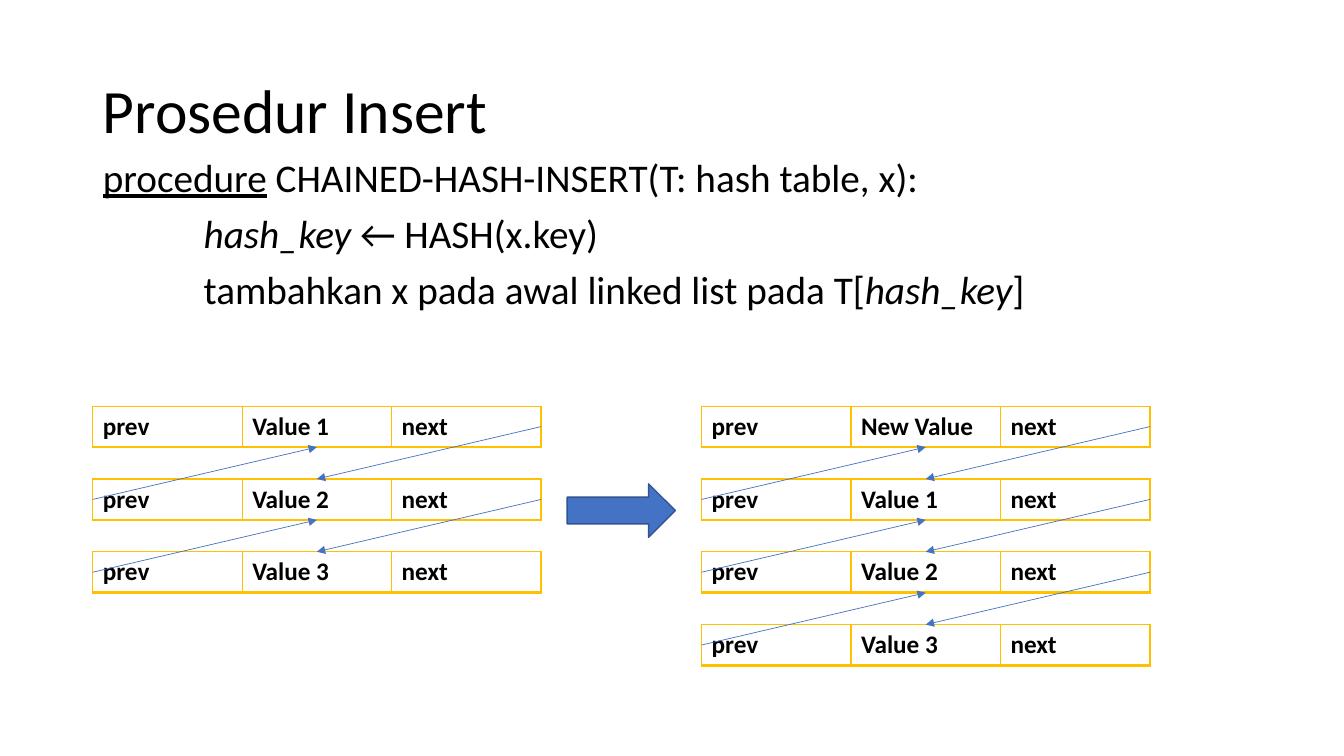
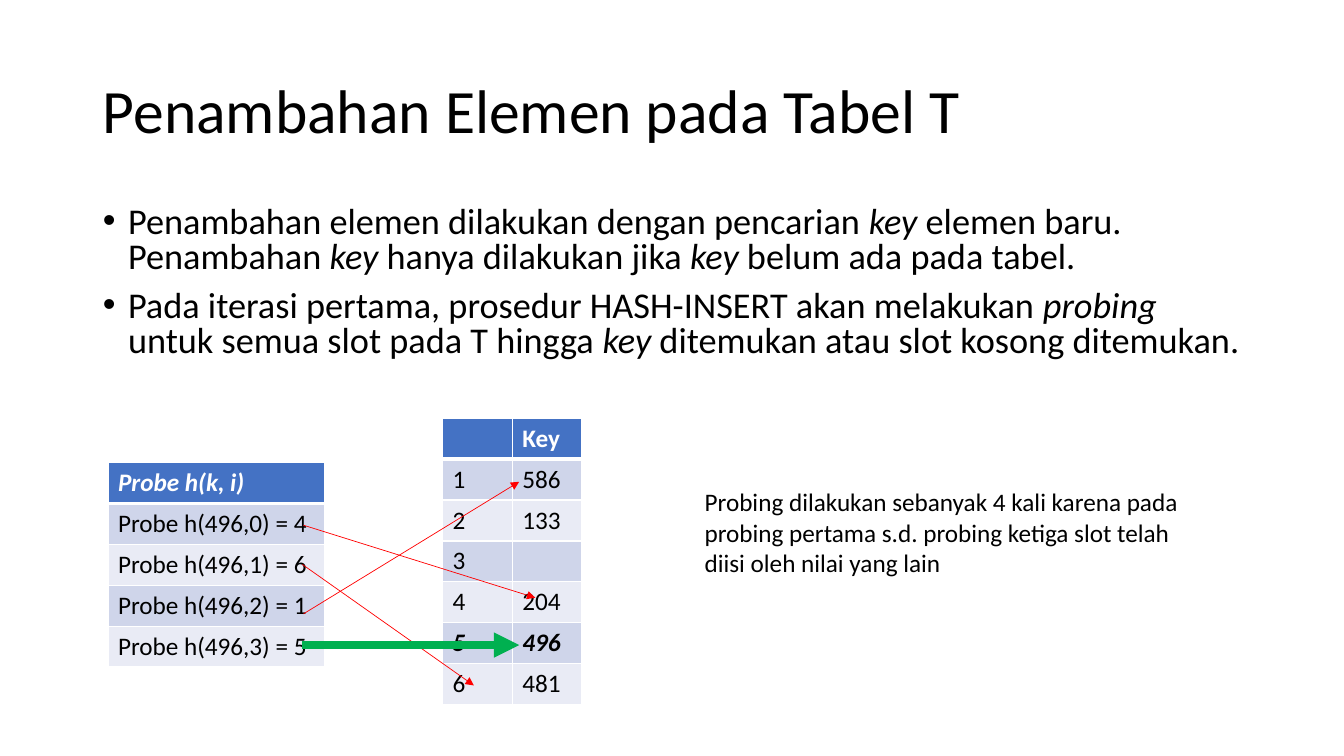
"""Build two slides on hash tables: chained insert and probing."""
from dataclasses import dataclass

from lxml.etree import SubElement
from pptx import Presentation
from pptx.dml.color import RGBColor as Color
from pptx.enum.shapes import MSO_CONNECTOR as Link, MSO_SHAPE as Kind
from pptx.enum.text import MSO_ANCHOR as Anchor, MSO_AUTO_SIZE as Fit, PP_ALIGN as Align
from pptx.oxml.ns import qn
from pptx.util import Emu, Inches, Pt


@dataclass(frozen=True)
class Theme:
    font: str = "Calibri"
    ink: str = "000000"
    paper: str = "FFFFFF"
    blue: str = "4472C4"
    navy: str = "325491"
    gold: str = "FFC000"
    red: str = "FF0000"
    green: str = "00B050"
    bands: tuple = ("E9EBF5", "CFD5EA")
    head: float = 44
    code: float = 28
    points: float = 25.9
    note: float = 18
    left: float = 6.9
    wide: float = 86.25
    row: float = 5.41


MARKS = {
    "*": {"italic": True},
    "~": {"underline": True},
    "!": {"bold": True, "italic": True},
}


class Deck:
    def __init__(self, theme):
        self.theme = theme
        self.show = Presentation()
        self.show.slide_width, self.show.slide_height = Inches(13.33), Inches(7.5)

    def x(self, share):
        return Emu(round(self.show.slide_width * share / 100))

    def y(self, share):
        return Emu(round(self.show.slide_height * share / 100))

    def box(self, left, top, wide, high):
        return self.x(left), self.y(top), self.x(wide), self.y(high)

    def place(self, shape, *at):
        for name, value in zip(("left", "top", "width", "height"), self.box(*at)):
            setattr(shape, name, value)

    def fill_in(self, para, text, size, color=None, **style):
        for part in text.split("|") if text else ():
            mark = MARKS.get(part[0], {})
            run = para.add_run()
            run.text = part[1:] if mark else part
            look = {"name": self.theme.font, "size": Pt(size), "bold": False, **style, **mark}
            for name, value in look.items():
                setattr(run.font, name, value)
            run.font.color.rgb = Color.from_string(color or self.theme.ink)

    def start(self, title):
        self.slide = self.show.slides.add_slide(self.show.slide_layouts[1])
        head = self.slide.shapes.title
        self.place(head, self.theme.left, 5.33, self.theme.wide, 19.33)
        frame = head.text_frame
        frame.auto_size, frame.vertical_anchor = Fit.NONE, Anchor.MIDDLE
        para = frame.paragraphs[0]
        para.alignment, para.line_spacing = Align.LEFT, 0.9
        self.fill_in(para, title, self.theme.head)

    def body(self, top, high, lines, size, pitch, bullet=False):
        shape = self.slide.placeholders[1]
        self.place(shape, self.theme.left, top, self.theme.wide, high)
        frame = shape.text_frame
        frame.auto_size = Fit.NONE
        for spot, (indent, text) in enumerate(lines):
            para = frame.add_paragraph() if spot else frame.paragraphs[0]
            para.line_spacing, para.space_before = pitch, Pt(10)
            props = para._p.get_or_add_pPr()
            props.set("marL", str(Inches(indent)))
            props.set("indent", str(-Inches(indent) if bullet else 0))
            if bullet:
                SubElement(props, qn("a:buFont"), typeface="Arial")
                SubElement(props, qn("a:buChar"), char="•")
            else:
                SubElement(props, qn("a:buNone"))
            self.fill_in(para, text, size)

    def edge(self, cell, color, sides):
        props = cell._tc.get_or_add_tcPr()
        for spot, (side, width) in enumerate(sides.items()):
            line = SubElement(props, qn("a:ln" + side), w=str(Pt(width)))
            fill = SubElement(line, qn("a:solidFill"))
            SubElement(fill, qn("a:srgbClr"), val=color)
            props.insert(spot, line)

    def table(self, left, top, col, rows, rim, base, filled=True):
        theme = self.theme
        count = len(rows[0])
        at = self.box(left, top, col * count, theme.row * len(rows))
        table = self.slide.shapes.add_table(len(rows), count, *at).table
        table.first_row = table.horz_banding = False
        for column in table.columns:
            column.width = self.x(col)
        for r, texts in enumerate(rows):
            table.rows[r].height = self.y(theme.row)
            for c, text in enumerate(texts):
                cell = table.cell(r, c)
                if filled:
                    cell.fill.solid()
                    cell.fill.fore_color.rgb = Color.from_string(theme.bands[r % 2] if r else theme.blue)
                else:
                    cell.fill.background()
                self.edge(cell, rim, {"L": 1, "R": 1, "T": base if r == 1 else 1, "B": 1 if r else base})
                color = theme.paper if filled and not r else theme.ink
                self.fill_in(cell.text_frame.paragraphs[0], text, theme.note, color, bold=not r)

    def arrow(self, start, end, color, width=0.5):
        (x1, y1), (x2, y2) = start, end
        line = self.slide.shapes.add_connector(Link.STRAIGHT, self.x(x1), self.y(y1), self.x(x2), self.y(y2))
        line.line.color.rgb = Color.from_string(color)
        line.line.width = Pt(width)
        props = line._element.spPr
        SubElement(props.find(qn("a:ln")), qn("a:tailEnd"), type="triangle")
        SubElement(props, qn("a:effectLst"))

    def block(self, *at):
        shape = self.slide.shapes.add_shape(Kind.RIGHT_ARROW, *self.box(*at))
        shape.shadow.inherit = False
        shape.fill.solid()
        shape.fill.fore_color.rgb = Color.from_string(self.theme.blue)
        shape.line.color.rgb = Color.from_string(self.theme.navy)
        shape.line.width = Pt(1)

    def note(self, text, *at):
        frame = self.slide.shapes.add_textbox(*self.box(*at)).text_frame
        frame.word_wrap = True
        self.fill_in(frame.paragraphs[0], text, self.theme.note)

    def chain(self, left, values, col=11.12, top=53.73, step=9.63):
        theme = self.theme
        tops = [top + step * n for n in range(len(values))]
        for y, value in zip(tops, values):
            self.table(left, y, col, [("prev", value, "next")], theme.gold, 2, filled=False)
        mid, right, half = left + 1.5 * col, left + 3 * col, theme.row / 2
        for above, below in zip(tops, tops[1:]):
            self.arrow((right, above + half), (mid, below), theme.blue)
            self.arrow((left, below + half), (mid, above + theme.row), theme.blue)


theme = Theme()
deck = Deck(theme)

deck.start("Prosedur Insert")
deck.body(20.27, 25.07, [
    (0, "~procedure| CHAINED-HASH-INSERT(T: hash table, x):"),
    (1, "*hash_key |← HASH(x.key)"),
    (1, "tambahkan x pada awal linked list pada T[|*hash_key|]"),
], theme.code, 0.9)
values = ["Value 1", "Value 2", "Value 3"]
deck.chain(theme.left, values)
deck.chain(52.2, ["New Value"] + values)
deck.block(42.2, 64, 8.05, 7.07)

deck.start("Penambahan Elemen pada Tabel T")
deck.body(26.67, 26.27, [
    (0.25, "Penambahan elemen dilakukan dengan pencarian |*key |elemen baru. Penambahan "
           "|*key |hanya dilakukan jika |*key| belum ada pada tabel."),
    (0.25, "Pada iterasi pertama, prosedur HASH-INSERT akan melakukan |*probing"
           "| untuk semua slot pada T hingga |*key |ditemukan atau slot kosong ditemukan."),
], theme.points, 0.8, bullet=True)
keys = [("", "Key"), ("1", "586"), ("2", "133"), ("3", ""), ("4", "204"), ("!5", "!496"), ("6", "481")]
deck.table(32.93, 55.33, 5.18, keys, theme.paper, 3)
probes = [(f"Probe h(496,{n}) = {slot}",) for n, slot in enumerate((4, 6, 1, 5))]
deck.table(8.03, 61.2, 16.13, [("!Probe h(k, i)",)] + probes, theme.paper, 3)
for start, end in [
    ((22.58, 69.47), (39.83, 79.07)),
    ((22.5, 74.67), (35.26, 90.67)),
    ((22.58, 81.2), (38.63, 63.73)),
]:
    deck.arrow(start, end, theme.red)
deck.arrow((22.5, 85.33), (38.63, 85.33), theme.green, 6)
deck.note("Probing dilakukan sebanyak 4 kali karena pada probing pertama s.d. probing ketiga "
          "slot telah diisi oleh nilai yang lain", 51.69, 63.73, 39.38, 13.47)

deck.show.save("out.pptx")
